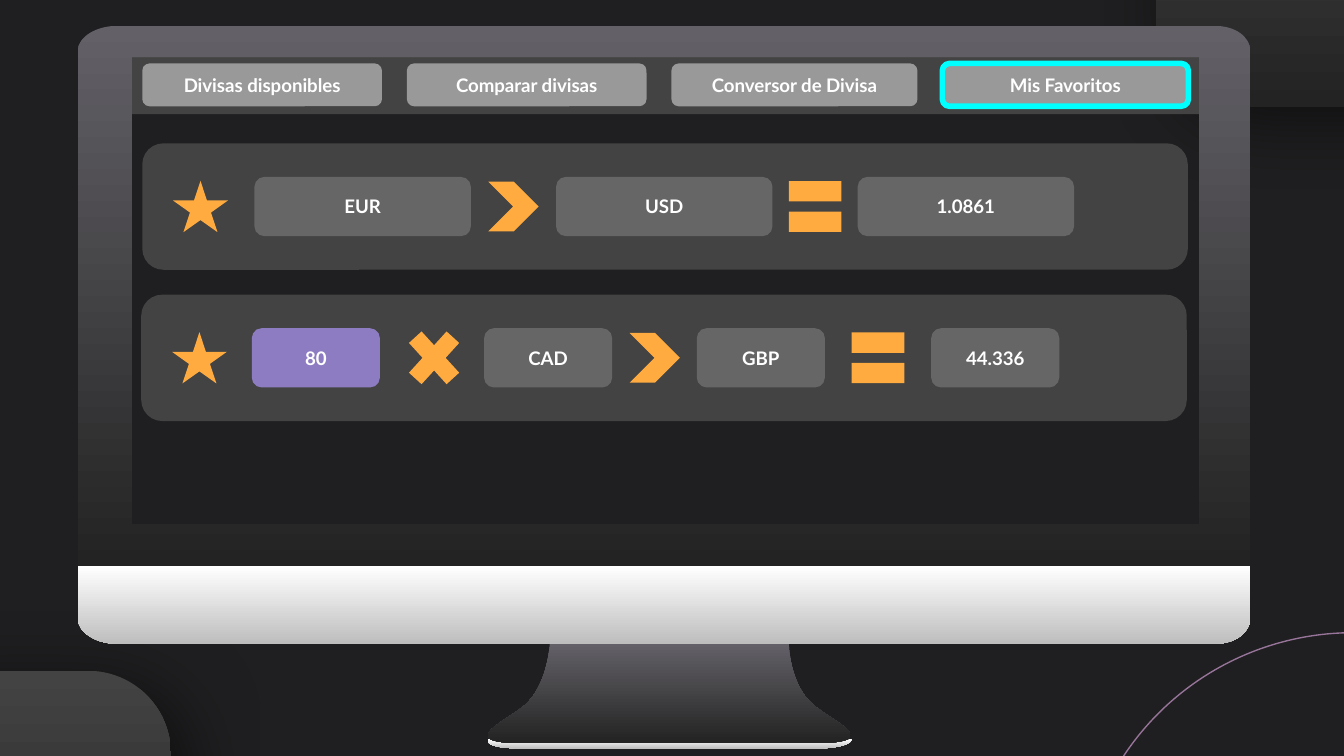
"""Build the favourites screen of a currency converter, shown on a desktop monitor."""
import itertools

import pptx
import pptx.dml.color
import pptx.enum.shapes
import pptx.enum.text
import pptx.oxml
import pptx.oxml.ns
import pptx.util

Cm = pptx.util.Cm
SHAPE = pptx.enum.shapes.MSO_SHAPE

THEME = {
    "background": "1F1E20", "panel": "434343", "cell": "666666", "amount": "8E7CC3",
    "tab": "999999", "active": "00FFFF", "symbol": "FFAB40", "text": "FFFFFF",
    "arc": "977499", "corner": ("434343", "232323"), "dark": ("636167", "232323"),
    "light": ("FFFFFF", "BEBEBE"), "font": "Lato", "size": 10,
    "active_line": 3, "arc_line": 0.75,
}

CORNERS = [(-2.54, 12.68), (21.84, -3.35)]
CORNER_SIZE = (5.77, 5.38)
ARC = (20.37, 11.96, 10.41, 10.41)

NAVIGATION = (2.46, 1.04, 20.22, 1.12)
TABS = [("Divisas disponibles", 4.53), ("Comparar divisas", 4.53),
        ("Conversor de Divisa", 4.65), ("Mis Favoritos", 4.65)]
ACTIVE_TAB = "Mis Favoritos"
TAB_LEFT, TAB_TOP, TAB_HEIGHT, TAB_GAP = 2.69, 1.2, 0.81, 0.47

SYMBOLS = {
    "star": (SHAPE.STAR_5_POINT, 1.04, 0.97),
    "chevron": (SHAPE.CHEVRON, 0.95, 0.94),
    "equal": (SHAPE.MATH_EQUAL, 1.35, 1.63),
    "multiply": (SHAPE.MATH_MULTIPLY, 1.37, 1.5),
}
ROW_SIZE = (19.76, 2.39)
CELL_HEIGHT = 1.12
ROWS = [
    {"left": 2.69, "top": 2.71, "cell_width": 4.09, "amount": None,
     "items": [("star", 3.27), ("EUR", 4.81), ("chevron", 9.23), ("USD", 10.51),
               ("equal", 14.73), ("1.0861", 16.21)]},
    {"left": 2.67, "top": 5.57, "cell_width": 2.42, "amount": "80",
     "items": [("star", 3.25), ("80", 4.76), ("multiply", 7.52), ("CAD", 9.15),
               ("chevron", 11.9), ("GBP", 13.17), ("equal", 15.92), ("44.336", 17.6)]},
]

MONITOR = [
    ("light", [[(9.22, 13.97), (9.22, 14), (9.22, 14.1, 9.45, 14.15, 9.98, 14.15),
                (15.37, 14.15), (15.9, 14.15, 16.1, 14.05, 16.1, 13.97), (16.03, 13.97),
                (15.93, 14.02, 15.72, 14.05, 15.34, 14.05), (9.96, 14.05),
                (9.55, 14.05, 9.35, 14.02, 9.27, 13.97)]]),
    ("dark", [[(10.39, 12.17), (10.39, 12.17, 10.36, 12.98, 9.88, 13.36),
               (9.55, 13.61, 9.07, 13.84, 9.27, 13.97),
               (9.35, 14.02, 9.55, 14.05, 9.96, 14.05), (15.34, 14.05),
               (15.72, 14.05, 15.93, 14.02, 16.03, 13.97),
               (16.23, 13.84, 15.75, 13.61, 15.42, 13.36),
               (14.91, 12.98, 14.91, 12.17, 14.91, 12.17)]]),
    ("light", [[(1.47, 10.7), (1.47, 11.68), (1.47, 11.96, 1.83, 12.17, 2.21, 12.17),
                (22.96, 12.17), (23.34, 12.17, 23.63, 11.96, 23.63, 11.68),
                (23.63, 10.7)]]),
    ("dark", [[(22.67, 1.08), (22.67, 9.91), (2.49, 9.91), (2.49, 1.08)],
              [(2.21, 0.49), (1.83, 0.49, 1.47, 0.69, 1.47, 0.97), (1.47, 10.7),
               (23.63, 10.7), (23.63, 0.97), (23.63, 0.69, 23.34, 0.49, 22.96, 0.49)]]),
]


def color(name):
    return pptx.dml.color.RGBColor.from_string(THEME.get(name, name))


def paint(shape, fill=None, line=None, line_width=0):
    shape.shadow.inherit = False
    if fill is None:
        shape.fill.background()
    elif isinstance(THEME[fill], tuple):
        shape.fill.gradient()
        shape.fill.gradient_angle = 270
        for stop, position, value in zip(shape.fill.gradient_stops, (0, 1), THEME[fill]):
            stop.position = position
            stop.color.rgb = color(value)
    else:
        shape.fill.solid()
        shape.fill.fore_color.rgb = color(fill)
    if line is None:
        shape.line.fill.background()
    else:
        shape.line.color.rgb = color(line)
        shape.line.width = pptx.util.Pt(line_width)


def add_preset(shapes, preset, box, **style):
    shape = shapes.add_shape(preset, *(Cm(value) for value in box))
    paint(shape, **style)
    return shape


def add_label(shapes, text, box, **style):
    shape = add_preset(shapes, SHAPE.ROUNDED_RECTANGLE, box, **style)
    frame = shape.text_frame
    frame.margin_left = frame.margin_right = Cm(0.25)
    frame.margin_top = frame.margin_bottom = Cm(0.25)
    frame.vertical_anchor = pptx.enum.text.MSO_ANCHOR.MIDDLE
    frame.text = text
    paragraph = frame.paragraphs[0]
    paragraph.alignment = pptx.enum.text.PP_ALIGN.CENTER
    font = paragraph.runs[0].font
    font.name, font.size, font.bold = THEME["font"], pptx.util.Pt(THEME["size"]), True
    font.color.rgb = color("text")


def add_soft_shadow(shape):
    effects = shape._element.spPr.find(pptx.oxml.ns.qn("a:effectLst"))
    effects.append(pptx.oxml.parse_xml(
        f'<a:outerShdw {pptx.oxml.ns.nsdecls("a")} blurRad="{pptx.util.Pt(39.4)}" '
        f'dist="{pptx.util.Pt(11.2)}" dir="2400000" algn="bl" rotWithShape="0">'
        '<a:srgbClr val="000000"><a:alpha val="50000"/></a:srgbClr></a:outerShdw>'))


def to_points(segments):
    values = [Cm(value) for segment in segments for value in segment]
    return list(zip(values[::2], values[1::2]))


def bend_curves(shape, contours):
    lines = iter(list(shape._element.iter(pptx.oxml.ns.qn("a:lnTo"))))
    for segment in itertools.chain.from_iterable(contour[1:] for contour in contours):
        group = list(itertools.islice(lines, len(segment) // 2))
        if len(group) == 3:
            curve = pptx.oxml.parse_xml(f'<a:cubicBezTo {pptx.oxml.ns.nsdecls("a")}/>')
            group[0].addprevious(curve)
            for line in group:
                curve.append(line[0])
                line.getparent().remove(line)


def add_outline(shapes, fill, contours):
    first, *others = [to_points(contour) for contour in contours]
    builder = shapes.build_freeform(*first[0])
    builder.add_line_segments(first[1:], close=True)
    for points in others:
        builder.move_to(*points[0])
        builder.add_line_segments(points[1:], close=True)
    shape = builder.convert_to_shape()
    bend_curves(shape, contours)
    paint(shape, fill)


def add_row(shapes, row):
    width, height = ROW_SIZE
    middle = row["top"] + height / 2
    add_preset(shapes, SHAPE.ROUNDED_RECTANGLE, (row["left"], row["top"], width, height),
               fill="panel")
    for name, left in row["items"]:
        if name in SYMBOLS:
            preset, width, height = SYMBOLS[name]
            add_preset(shapes, preset, (left, middle - height / 2, width, height),
                       fill="symbol")
        else:
            box = (left, middle - CELL_HEIGHT / 2, row["cell_width"], CELL_HEIGHT)
            add_label(shapes, name, box, fill="amount" if name == row["amount"] else "cell")


def main():
    presentation = pptx.Presentation()
    presentation.slide_width, presentation.slide_height = Cm(25.4), Cm(14.29)
    slide = presentation.slides.add_slide(presentation.slide_layouts[6])
    slide.background.fill.solid()
    slide.background.fill.fore_color.rgb = color("background")
    shapes = slide.shapes

    for position in CORNERS:
        corner = add_preset(shapes, SHAPE.ROUNDED_RECTANGLE, position + CORNER_SIZE,
                            fill="corner")
        corner.adjustments[0] = 0.29
        add_soft_shadow(corner)
    add_preset(shapes, SHAPE.OVAL, ARC, line="arc", line_width=THEME["arc_line"])
    add_preset(shapes, SHAPE.RECTANGLE, NAVIGATION, fill="panel")

    monitor = shapes.add_group_shape()
    for fill, contours in MONITOR:
        add_outline(monitor.shapes, fill, contours)

    left = TAB_LEFT
    for text, width in TABS:
        add_label(shapes, text, (left, TAB_TOP, width, TAB_HEIGHT), fill="tab",
                  line="active" if text == ACTIVE_TAB else None,
                  line_width=THEME["active_line"])
        left += width + TAB_GAP

    for row in ROWS:
        add_row(shapes.add_group_shape().shapes, row)
    presentation.save("out.pptx")


if __name__ == "__main__":
    main()
